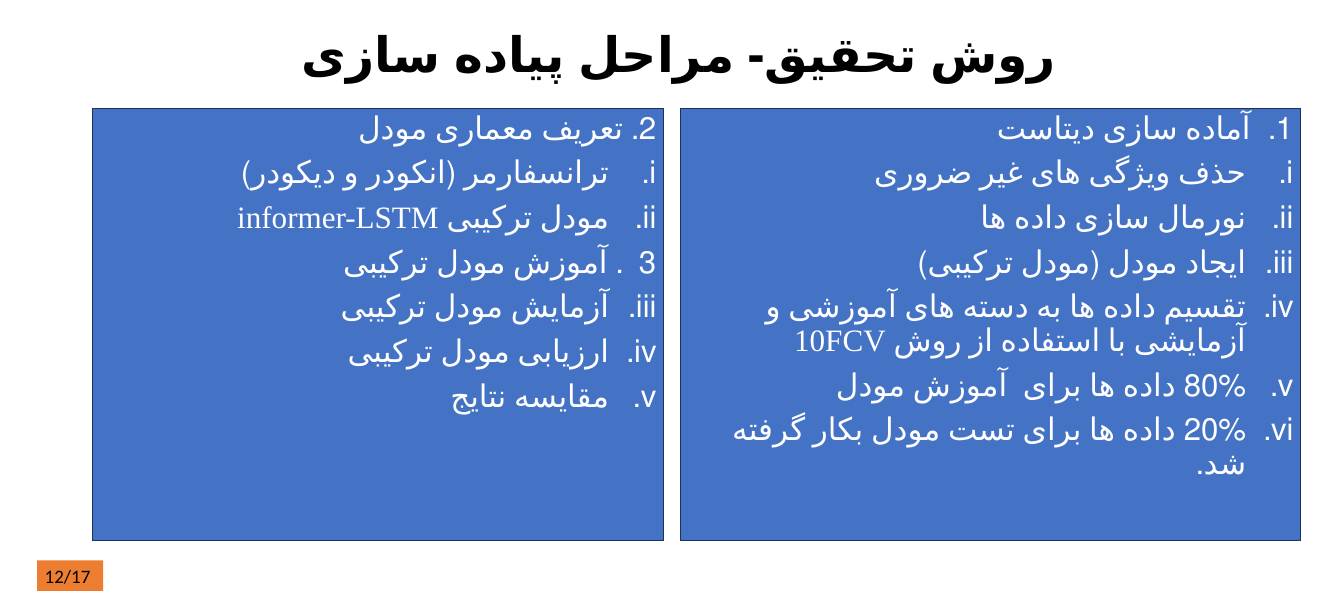
"""Build the research-method slide with its two columns of implementation steps."""
from dataclasses import dataclass
from typing import Any, NamedTuple

from lxml import etree
from pptx import Presentation
from pptx import util as u
from pptx.dml.color import RGBColor
from pptx.enum import lang, shapes, text
from pptx.oxml.ns import qn

COLUMNS, ROWS = 177, 79
CELL = u.Inches(0.1)
COLOURS = {"panel": "4472C4", "edge": "1E3256", "badge": "ED7D31",
           "light": "FFFFFF", "dark": "000000"}
MAIN_FONT, LATIN_FONT = "Calibri", "Times New Roman"
ROMAN, ARABIC = "romanLcPeriod", "arabicPeriod"


class Area(NamedTuple):
    """A rectangle in grid columns and rows."""
    column: float
    row: float
    columns: float
    rows: float

    def lengths(self) -> list[int]:
        """Return left, top, width and height as slide lengths."""
        return [round(cells * CELL) for cells in self]


@dataclass(frozen=True)
class Step:
    """One paragraph, with an optional Latin term at its end."""
    wording: str
    term: str = ""
    numbering: str = ROMAN
    indent: float = 6.2


@dataclass(frozen=True)
class Panel:
    """A filled column of steps."""
    area: Area
    steps: tuple[Step, ...]


PANEL_ROW, PANEL_ROWS = 14.3, 56.9
TITLE_AREA = Area(12.2, 3.1, 152.7, 8.7)
BADGE_AREA = Area(4.9, 73.8, 8.7, 4)
PANELS = (
    Panel(Area(12.2, PANEL_ROW, 75.2, PANEL_ROWS), (
        Step("2. تعریف معماری مودل", numbering="", indent=0),
        Step("ترانسفارمر (انکودر و دیکودر)"),
        Step("مودل ترکیبی ", "informer-LSTM"),
        Step("3  . آموزش مودل ترکیبی", numbering="", indent=0),
        Step("آزمایش مودل ترکیبی"),
        Step("ارزیابی مودل ترکیبی"),
        Step("مقایسه نتایج"),
    )),
    Panel(Area(89.6, PANEL_ROW, 81.7, PANEL_ROWS), (
        Step("آماده سازی دیتاست", numbering=ARABIC, indent=5.6),
        Step("حذف ویژگی های غیر ضروری"),
        Step("نورمال سازی داده ها "),
        Step("ایجاد مودل (مودل ترکیبی)"),
        Step("تقسیم داده ها به دسته های آموزشی و آزمایشی با استفاده از روش ", "10FCV"),
        Step("80% داده ها برای  آموزش مودل "),
        Step("20% داده ها برای تست مودل بکار گرفته شد."),
    )),
)
PERSIAN = {"name": MAIN_FONT, "language_id": lang.MSO_LANGUAGE_ID.FARSI}
TITLE_FORMAT = PERSIAN | {"size": u.Pt(46.3), "bold": True}
STEP_FORMAT = PERSIAN | {"size": u.Pt(29.5)}
TERM_FORMAT = STEP_FORMAT | {"name": LATIN_FONT}
BADGE_FORMAT = {"size": u.Pt(18), "name": MAIN_FONT}
TITLE_LINE = {"alignment": text.PP_ALIGN.CENTER, "line_spacing": 0.9}
STEP_LINE = {"alignment": text.PP_ALIGN.RIGHT, "line_spacing": 0.9,
             "space_before": u.Pt(10.5)}
BADGE_LINE = {"alignment": text.PP_ALIGN.LEFT}


def apply(target: Any, values: dict[str, Any]) -> None:
    """Set each attribute named in values on the target."""
    for name, value in values.items():
        setattr(target, name, value)


def colour(key: str) -> RGBColor:
    """Return a palette colour."""
    return RGBColor.from_string(COLOURS[key])


def write(paragraph: Any, wording: str, font: dict[str, Any], ink: str) -> None:
    """Add a formatted run to a paragraph."""
    run = paragraph.add_run()
    run.text = wording
    apply(run.font, font)
    run.font.color.rgb = colour(ink)


def set_right_to_left(paragraph: Any, indent: float = 0, numbering: str = "") -> None:
    """Set the reading direction, hanging indent and numbering."""
    properties = paragraph._p.get_or_add_pPr()
    hang = round(indent * CELL)
    for name, value in {"marL": hang, "indent": -hang, "rtl": 1}.items():
        properties.set(name, str(value))
    if numbering:
        etree.SubElement(properties, qn("a:buFont"), typeface="+mj-lt")
        etree.SubElement(properties, qn("a:buAutoNum"), type=numbering)


def draw_box(slide: Any, area: Area, fill: str, edge: str = "") -> Any:
    """Draw a filled rectangle and return its text frame."""
    box = slide.shapes.add_shape(shapes.MSO_SHAPE.RECTANGLE, *area.lengths())
    box.shadow.inherit = False
    box.fill.solid()
    box.fill.fore_color.rgb = colour(fill)
    if edge:
        box.line.color.rgb = colour(edge)
        box.line.width = u.Pt(1)
    else:
        box.line.fill.background()
    apply(box.text_frame, {"word_wrap": True, "vertical_anchor": text.MSO_ANCHOR.TOP})
    return box.text_frame


def draw_title(slide: Any) -> None:
    """Draw the centred heading."""
    heading = slide.shapes.add_textbox(*TITLE_AREA.lengths()).text_frame
    apply(heading, {"word_wrap": True, "vertical_anchor": text.MSO_ANCHOR.MIDDLE})
    line = heading.paragraphs[0]
    apply(line, TITLE_LINE)
    set_right_to_left(line)
    write(line, "روش تحقیق- مراحل پیاده سازی ", TITLE_FORMAT, "dark")


def draw_panel(slide: Any, panel: Panel) -> None:
    """Draw one column with its numbered steps."""
    body = draw_box(slide, panel.area, "panel", "edge")
    for index, step in enumerate(panel.steps):
        line = body.add_paragraph() if index else body.paragraphs[0]
        apply(line, STEP_LINE)
        set_right_to_left(line, step.indent, step.numbering)
        write(line, step.wording, STEP_FORMAT, "light")
        if step.term:
            write(line, step.term, TERM_FORMAT, "light")


def draw_page_badge(slide: Any) -> None:
    """Draw the page count."""
    badge = draw_box(slide, BADGE_AREA, "badge")
    badge.auto_size = text.MSO_AUTO_SIZE.SHAPE_TO_FIT_TEXT
    line = badge.paragraphs[0]
    apply(line, BADGE_LINE)
    write(line, "12/17", BADGE_FORMAT, "dark")


def main() -> None:
    """Build and save the slide."""
    deck = Presentation()
    apply(deck, {"slide_width": COLUMNS * CELL, "slide_height": ROWS * CELL})
    slide = deck.slides.add_slide(deck.slide_layouts[6])
    draw_title(slide)
    for panel in PANELS:
        draw_panel(slide, panel)
    draw_page_badge(slide)
    deck.save("out.pptx")


if __name__ == "__main__":
    main()
